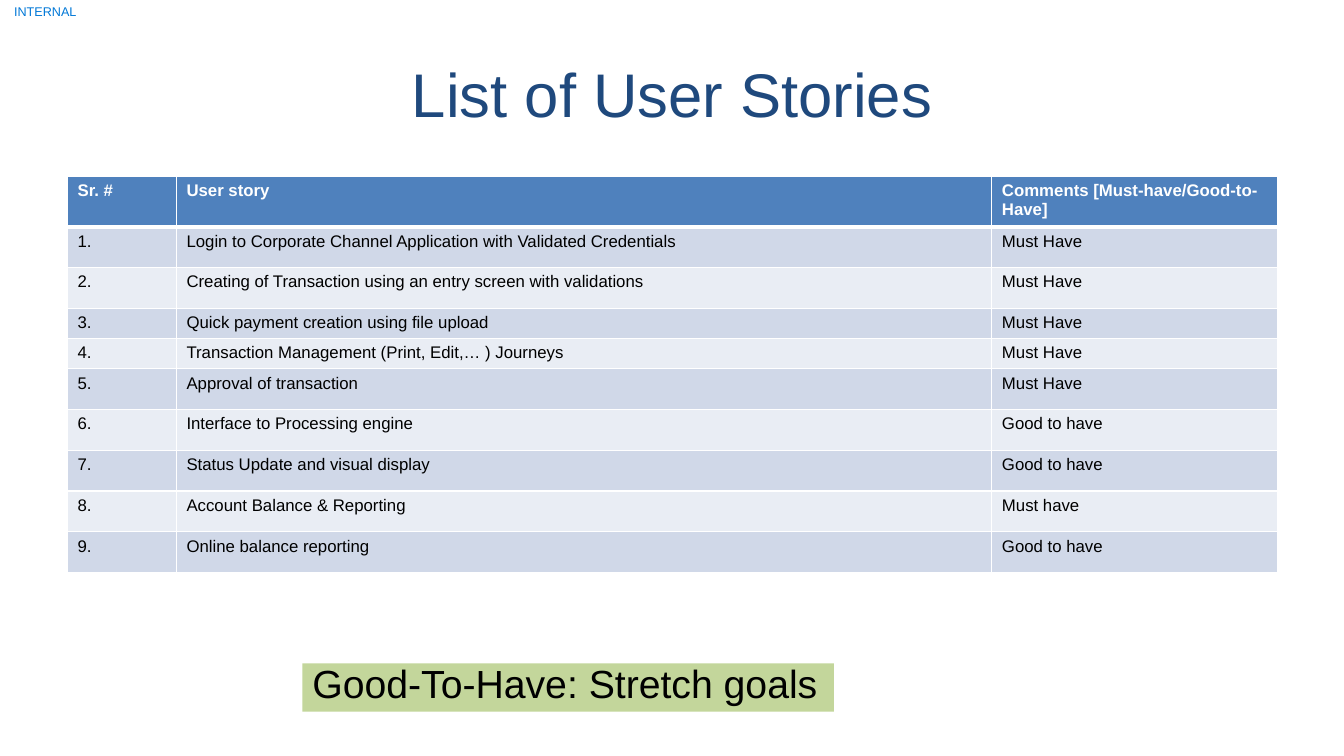
from lxml import etree
from pptx import Presentation
from pptx import util as u
from pptx.dml.color import RGBColor
from pptx.enum import shapes, text
from pptx.oxml.ns import qn

STORIES = [
    ("Login to Corporate Channel Application with Validated Credentials", "Must Have"),
    ("Creating of Transaction using an entry screen with validations", "Must Have"),
    ("Quick payment creation using file upload", "Must Have"),
    ("Transaction Management (Print, Edit,… ) Journeys", "Must Have"),
    ("Approval of transaction", "Must Have"),
    ("Interface to Processing engine", "Good to have"),
    ("Status Update and visual display", "Good to have"),
    ("Account Balance & Reporting", "Must have"),
    ("Online balance reporting", "Good to have"),
]
HEADINGS = ("Sr. #", "User story", "Comments [Must-have/Good-to-Have]")
COLUMN_SHARES = (0.09, 0.674, 0.236)
COMPACT_ROWS = (3, 4)
HEADER_HEIGHT, COMPACT_HEIGHT = 0.47, 0.29


def color(value):
    return RGBColor.from_string(value)


def write(frame, content, size, hue, bold=False):
    frame.word_wrap = True
    paragraph = frame.paragraphs[0]
    paragraph.text = content
    paragraph.alignment = text.PP_ALIGN.LEFT
    font = paragraph.font
    font.name, font.size, font.bold = "Arial", u.Pt(size), bold
    font.color.rgb = color(hue)
    return paragraph


def add_label(slide, left, top, width, height):
    frame = slide.shapes.add_textbox(*map(u.Inches, (left, top, width, height))).text_frame
    frame.margin_left = frame.margin_right = frame.margin_top = frame.margin_bottom = 0
    frame.vertical_anchor = text.MSO_ANCHOR.MIDDLE
    write(frame, "INTERNAL", 9, "0078D7").line_spacing = 0.8
    # The label sits inset from the slide edge.
    frame.margin_left = u.Inches(0.14)


def add_title(slide, left, top, width, height):
    frame = slide.shapes.add_textbox(*map(u.Inches, (left, top, width, height))).text_frame
    frame.vertical_anchor = text.MSO_ANCHOR.MIDDLE
    write(frame, "List of User Stories", 44, "1F497D").alignment = text.PP_ALIGN.CENTER


def set_borders(cell, bottom_width):
    properties = cell._tc.get_or_add_tcPr()
    widths = {"a:lnL": 1, "a:lnR": 1, "a:lnT": 1, "a:lnB": bottom_width}
    for position, (tag, width) in enumerate(widths.items()):
        line = etree.Element(qn(tag), w=str(u.Pt(width)))
        fill = etree.SubElement(line, qn("a:solidFill"))
        etree.SubElement(fill, qn("a:srgbClr"), val="FFFFFF")
        properties.insert(position, line)


def add_story_table(slide, left, top, width, height):
    rows = [HEADINGS] + [(f"{number}.", *story) for number, story in enumerate(STORIES, 1)]
    box = map(u.Inches, (left, top, width, height))
    table = slide.shapes.add_table(len(rows), len(HEADINGS), *box).table
    for column, share in zip(table.columns, COLUMN_SHARES):
        column.width = u.Inches(width * share)

    compact_total = COMPACT_HEIGHT * len(COMPACT_ROWS)
    tall_count = len(STORIES) - len(COMPACT_ROWS)
    tall_height = (height - HEADER_HEIGHT - compact_total) / tall_count
    for index, values in enumerate(rows):
        header = index == 0
        row_height = COMPACT_HEIGHT if index in COMPACT_ROWS else tall_height
        table.rows[index].height = u.Inches(HEADER_HEIGHT if header else row_height)
        band = "4F81BD" if header else "D0D8E8" if index % 2 else "E9EDF4"
        for column, value in enumerate(values):
            cell = table.cell(index, column)
            cell.fill.solid()
            cell.fill.fore_color.rgb = color(band)
            set_borders(cell, 3 if header else 1)
            write(cell.text_frame, value, 12, "FFFFFF" if header else "000000", header)


def add_goal_note(slide, left, top, width, height):
    box = map(u.Inches, (left, top, width, height))
    note = slide.shapes.add_shape(shapes.MSO_SHAPE.RECTANGLE, *box)
    note.shadow.inherit = False
    note.fill.solid()
    note.fill.fore_color.rgb = color("C3D69B")
    note.line.fill.background()
    note.text_frame.vertical_anchor = text.MSO_ANCHOR.TOP
    paragraph = write(note.text_frame, "Good-To-Have: Stretch goals", 28, "000000")
    paragraph.line_spacing = 0.8
    paragraph.space_before = u.Pt(3)
    note.text_frame.word_wrap = False


def main():
    presentation = Presentation()
    presentation.slide_width = u.Inches(13.33)
    presentation.slide_height = u.Inches(7.5)
    slide = presentation.slides.add_slide(presentation.slide_layouts[6])
    add_label(slide, 0, 0, 0.9, 0.26)
    add_title(slide, 0.67, 0.3, 12, 1.25)
    add_story_table(slide, 0.67, 1.75, 12, 3.88)
    add_goal_note(slide, 3, 6.58, 5.27, 0.48)
    presentation.save("out.pptx")


if __name__ == "__main__":
    main()
